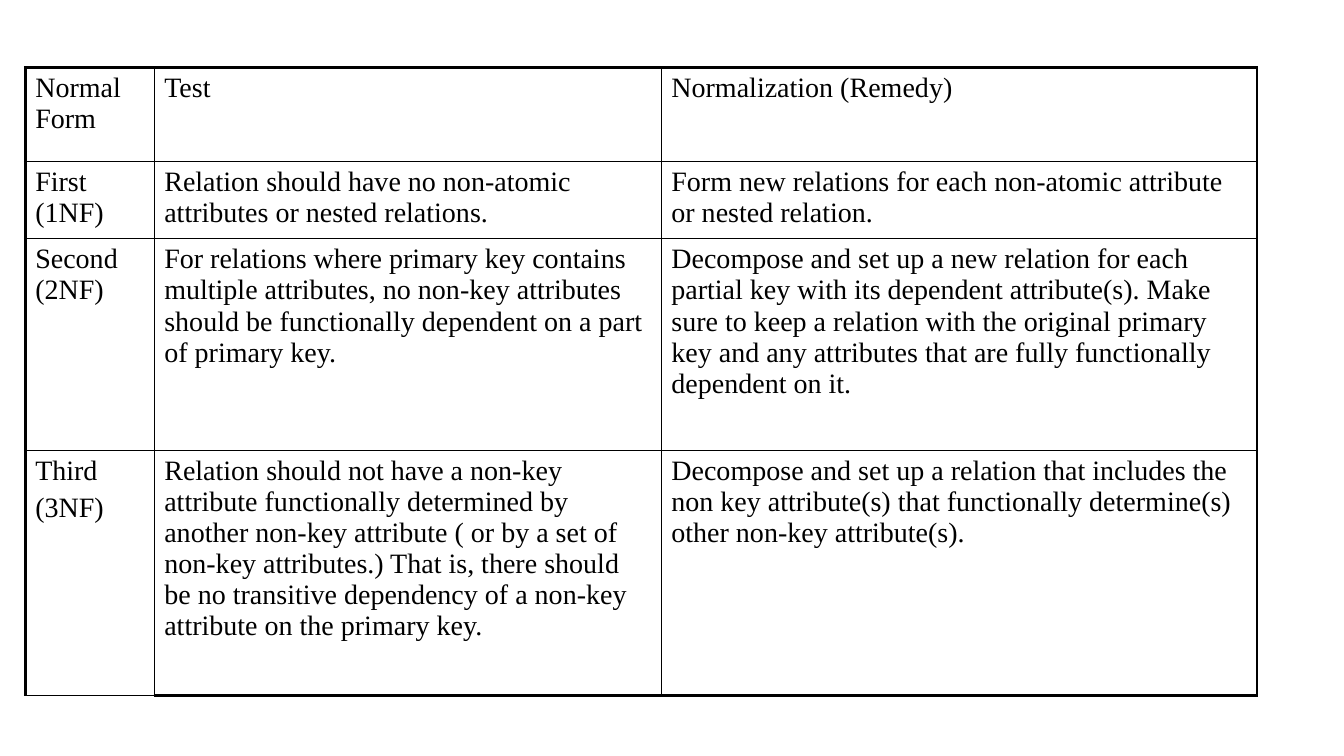
from dataclasses import dataclass

from lxml.etree import SubElement
from pptx import Presentation
from pptx.dml.color import RGBColor as RGB
from pptx.enum.text import MSO_ANCHOR as Anchor, PP_ALIGN as Align
from pptx.oxml.ns import qn
from pptx.table import _Cell as Cell
from pptx.util import Pt


@dataclass(frozen=True)
class Theme:
    ink: str = "000000"
    paper: str = "FFFFFF"
    font: str = "Times New Roman"
    size: float = 20
    space_before: float = 4
    thin: float = 1
    thick: float = 2.25


@dataclass(frozen=True)
class NormalForm:
    name: str
    test: str
    remedy: str
    height: float


THEME = Theme()
LEFT, TOP = 18, 48.4
COLUMNS = (92.2, 362.2, 425.5)
ROWS = (
    NormalForm("Normal Form", "Test", "Normalization (Remedy)", 66.8),
    NormalForm(
        "First (1NF)",
        "Relation should have no non-atomic attributes or nested relations.",
        "Form new relations for each non-atomic attribute or nested relation.",
        55.4),
    NormalForm(
        "Second (2NF)",
        "For relations where primary key contains multiple attributes, no non-key "
        "attributes should be functionally dependent on a part of primary key.",
        "Decompose and set up a new relation for each partial key with its dependent "
        "attribute(s). Make sure to keep a relation with the original primary key and "
        "any attributes that are fully functionally dependent on it.",
        151.2),
    NormalForm(
        "Third\n(3NF)",
        "Relation should not have a non-key attribute functionally determined by "
        "another non-key attribute ( or by a set of non-key attributes.) That is, there "
        "should be no transitive dependency of a non-key attribute on the primary key.",
        "Decompose and set up a relation that includes the non key attribute(s) that "
        "functionally determine(s) other non-key attribute(s).",
        175),
)
CELL_FORMAT = {
    "margin_left": Pt(7.2), "margin_right": Pt(7.2),
    "margin_top": Pt(3.6), "margin_bottom": Pt(3.6),
    "vertical_anchor": Anchor.TOP,
}
PARAGRAPH_FORMAT = {"alignment": Align.LEFT, "space_before": Pt(THEME.space_before)}
FONT_FORMAT = {"name": THEME.font, "size": Pt(THEME.size), "bold": False}


def apply(target: object, values: dict) -> None:
    for name, value in values.items():
        setattr(target, name, value)


def draw_borders(cell: Cell, thick_sides: dict[str, bool]) -> None:
    tc_pr = cell._tc.get_or_add_tcPr()
    for side, thick in thick_sides.items():
        width = Pt(THEME.thick if thick else THEME.thin)
        ln = SubElement(tc_pr, qn(f"a:ln{side}"), w=str(width))
        fill = SubElement(ln, qn("a:solidFill"))
        SubElement(fill, qn("a:srgbClr"), val=THEME.ink)


def fill_cell(cell: Cell, text: str) -> None:
    apply(cell, CELL_FORMAT)
    cell.fill.solid()
    cell.fill.fore_color.rgb = RGB.from_string(THEME.paper)
    cell.text = text
    for p in cell.text_frame.paragraphs:
        apply(p, PARAGRAPH_FORMAT)
        for r in p.runs:
            apply(r.font, FONT_FORMAT)
            r.font.color.rgb = RGB.from_string(THEME.ink)


def main() -> None:
    prs = Presentation()
    prs.slide_width, prs.slide_height = Pt(960), Pt(540)
    s = prs.slides.add_slide(prs.slide_layouts[6])

    # Table grid
    height = sum(row.height for row in ROWS)
    table = s.shapes.add_table(len(ROWS), len(COLUMNS), Pt(LEFT), Pt(TOP),
                               Pt(sum(COLUMNS)), Pt(height)).table
    apply(table, {"first_row": False, "horz_banding": False})
    for column, width in zip(table.columns, COLUMNS):
        column.width = Pt(width)

    # Cells: thick outer frame, except under the first column
    last_row, last_col = len(ROWS) - 1, len(COLUMNS) - 1
    for i, row in enumerate(ROWS):
        table.rows[i].height = Pt(row.height)
        for j, text in enumerate((row.name, row.test, row.remedy)):
            cell = table.cell(i, j)
            draw_borders(cell, {"L": j == 0, "R": j == last_col, "T": i == 0,
                                "B": i == last_row and j > 0})
            fill_cell(cell, text)

    prs.save("out.pptx")


if __name__ == "__main__":
    main()
